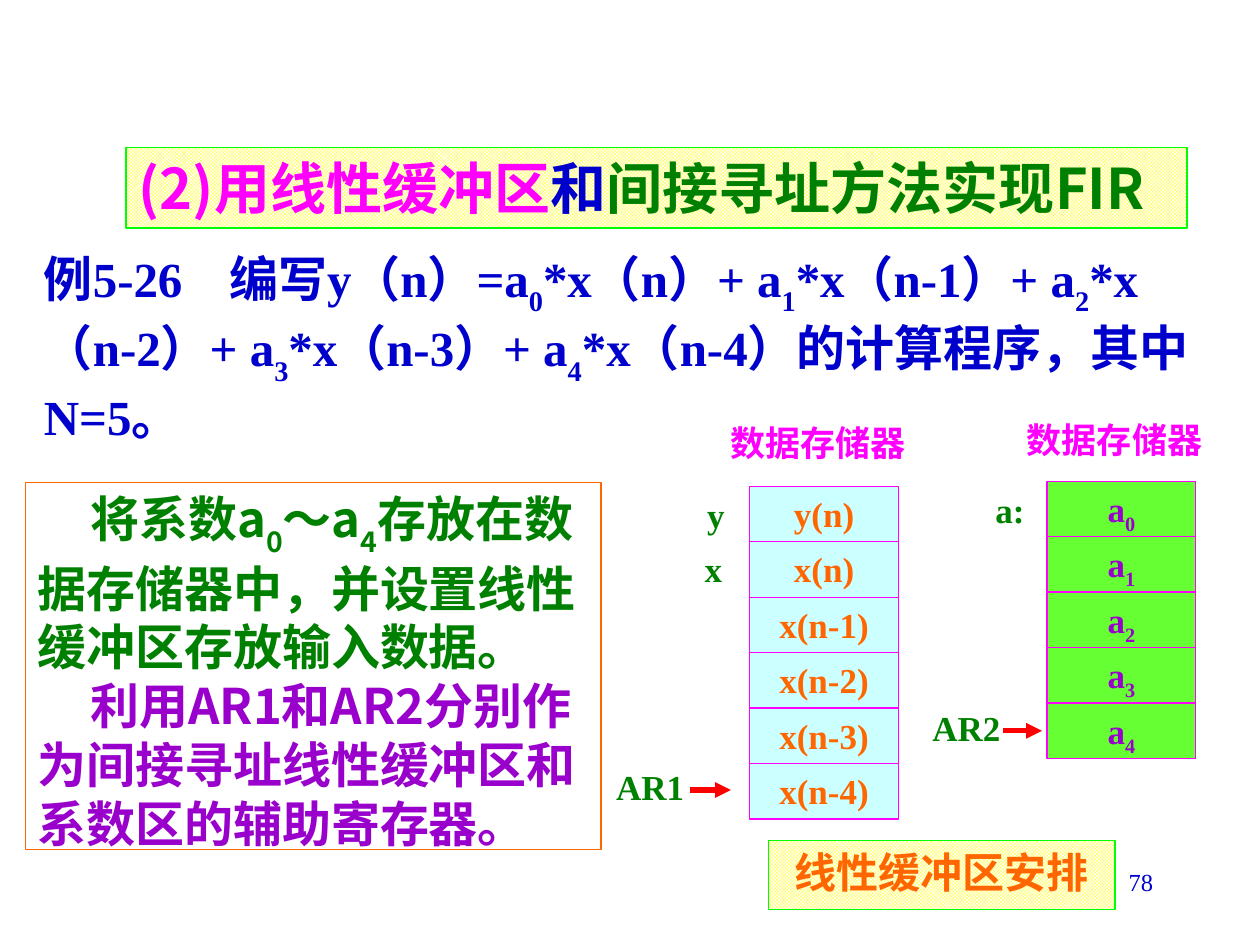
from lxml.etree import SubElement
from pptx import Presentation
from pptx.dml.color import RGBColor
from pptx.enum.dml import MSO_PATTERN
from pptx.enum.shapes import MSO_CONNECTOR, MSO_SHAPE
from pptx.enum.text import MSO_ANCHOR, MSO_AUTO_SIZE, PP_ALIGN
from pptx.oxml.ns import qn
from pptx.util import Inches, Pt

SANS, SERIF = "Noto Sans CJK SC", "Times New Roman"
BLUE, MAGENTA, GREEN = "0000CC", "FF00FF", "008000"
ORANGE, PURPLE, RED, LIME = "FF6600", "9900CC", "FF0000", "00FF00"

# Content: paragraphs are lists of (text, colour); "_" lowers the next character
TITLE = [[("(2)用线性缓冲区", MAGENTA), ("和", BLUE),
          ("间接寻址方法实现FIR", GREEN)]]
EXAMPLE = [[("例5-26\t编写y（n）=a_0*x（n）+ a_1*x（n-1）+ a_2*x（n-2）"
             "+ a_3*x（n-3）+ a_4*x（n-4）的计算程序，其中N=5。", BLUE)]]
METHOD = [
    [("将系数a_0～a_4存放在数据存储器中，并设置线性缓冲区存放输入数据。", GREEN)],
    [("利用AR1和AR2分别作为间接寻址线性缓冲区和系数区的辅助寄存器。", PURPLE)],
]
CAPTION = [[("线性缓冲区安排", ORANGE)]]
PAGE_NUMBER = [[("78", BLUE)]]

# Memory columns: left, top, fill, text colour, cells
MEMORIES = [
    (5.95, 3.86, "CCFFFF", ORANGE,
     ["y(n)", "x(n)", "x(n-1)", "x(n-2)", "x(n-3)", "x(n-4)"]),
    (8.31, 3.82, "66FF33", PURPLE, ["a_0", "a_1", "a_2", "a_3", "a_4"]),
]
CELL_WIDTH, CELL_HEIGHT = 1.18, 0.44

# Labels: text, colour, left, top, width
LABELS = [
    ("数据存储器", MAGENTA, 5.64, 3.3, 1.65),
    ("数据存储器", MAGENTA, 7.99, 3.27, 1.65),
    ("y", GREEN, 5.3, 3.87, 0.55),
    ("x", GREEN, 5.32, 4.3, 0.51),
    ("a:", GREEN, 7.68, 3.83, 0.55),
    ("AR1", GREEN, 4.77, 6.03, 0.76),
    ("AR2", GREEN, 7.28, 5.56, 0.76),
]
LABEL_HEIGHT = 0.43

# Pointers: start x, end x, y
POINTERS = [(5.48, 5.8, 6.27), (7.96, 8.27, 5.8)]


def color(hex_value):
    return RGBColor.from_string(hex_value)


def add_run(paragraph, text, size, font_name, hex_value, bold, baseline=0):
    run = paragraph.add_run()
    run.text = text
    font = run.font
    font.size, font.name, font.bold = Pt(size), font_name, bold
    font.color.rgb = color(hex_value)
    properties = font._element
    SubElement(properties, qn("a:ea")).set("typeface", SANS)
    if baseline:
        properties.set("baseline", str(baseline * 1000))


def write(shape, paragraphs, size, font_name, align=PP_ALIGN.LEFT,
          bold=True, indent=0, tab_stop=0, subscript=-30):
    frame = shape.text_frame
    frame.word_wrap = True
    frame.auto_size = MSO_AUTO_SIZE.NONE
    frame.vertical_anchor = MSO_ANCHOR.TOP
    for index, segments in enumerate(paragraphs):
        paragraph = frame.add_paragraph() if index else frame.paragraphs[0]
        paragraph.alignment = align
        properties = paragraph._p.get_or_add_pPr()
        if indent:
            properties.set("marL", "0")
            properties.set("indent", str(Inches(indent)))
        if tab_stop:
            tab = SubElement(SubElement(properties, qn("a:tabLst")), qn("a:tab"))
            tab.set("pos", str(Inches(tab_stop)))
            tab.set("algn", "l")
        for text, hex_value in segments:
            first, *rest = text.split("_")
            add_run(paragraph, first, size, font_name, hex_value, bold)
            for piece in rest:
                add_run(paragraph, piece[0], size, font_name, hex_value, bold, subscript)
                if piece[1:]:
                    add_run(paragraph, piece[1:], size, font_name, hex_value, bold)


def outline(shape, hex_value):
    shape.line.color.rgb = color(hex_value)
    shape.line.width = Pt(0.75)


def checker(shape):
    fill = shape.fill
    fill.patterned()
    fill.pattern = MSO_PATTERN.SMALL_CHECKER_BOARD
    fill.fore_color.rgb = color("FFFF00")
    fill.back_color.rgb = color("FFFFFF")
    outline(shape, LIME)


def add_box(slide, *place):
    shape = slide.shapes.add_shape(MSO_SHAPE.RECTANGLE, *map(Inches, place))
    shape.shadow.inherit = False
    return shape


def add_text(slide, *place):
    return slide.shapes.add_textbox(*map(Inches, place))


def add_pointer(slide, start, end, y):
    connector = slide.shapes.add_connector(
        MSO_CONNECTOR.STRAIGHT, *map(Inches, (start, y, end, y)))
    connector.line.color.rgb = color(RED)
    connector.line.width = Pt(3)
    SubElement(connector.line._get_or_add_ln(), qn("a:tailEnd")).set("type", "triangle")
    SubElement(connector._element.spPr, qn("a:effectLst"))


def main():
    presentation = Presentation()
    presentation.slide_width, presentation.slide_height = Inches(10), Inches(7.5)
    slide = presentation.slides.add_slide(presentation.slide_layouts[5])

    # Title and example
    title = slide.shapes.title
    title.left, title.top, title.width, title.height = map(Inches, (1, 1.17, 8.42, 0.64))
    checker(title)
    write(title, TITLE, 32, SANS)
    write(add_text(slide, 0.25, 1.92, 9.42, 1.5), EXAMPLE, 28, SERIF, tab_stop=1.47)

    # Method
    method = add_box(slide, 0.2, 3.83, 4.57, 2.91)
    method.fill.background()
    outline(method, ORANGE)
    write(method, METHOD, 28, SANS, indent=0.42)

    # Caption and page number
    caption = add_box(slide, 6.1, 6.67, 2.75, 0.55)
    checker(caption)
    write(caption, CAPTION, 24, SANS, PP_ALIGN.CENTER)
    write(add_text(slide, 7.17, 6.83, 2.08, 0.5), PAGE_NUMBER, 14, SERIF,
          PP_ALIGN.RIGHT, bold=False)

    # Memory columns
    for left, top, fill, text_color, cells in MEMORIES:
        for row, text in enumerate(cells):
            cell = add_box(slide, left, top + row * CELL_HEIGHT, CELL_WIDTH, CELL_HEIGHT)
            cell.fill.solid()
            cell.fill.fore_color.rgb = color(fill)
            outline(cell, MAGENTA)
            write(cell, [[(text, text_color)]], 20, SERIF, PP_ALIGN.CENTER, subscript=-25)

    # Labels and pointers
    for text, text_color, left, top, width in LABELS:
        label = add_text(slide, left, top, width, LABEL_HEIGHT)
        write(label, [[(text, text_color)]], 20, SERIF, PP_ALIGN.RIGHT)
    for pointer in POINTERS:
        add_pointer(slide, *pointer)

    presentation.save("out.pptx")


if __name__ == "__main__":
    main()
